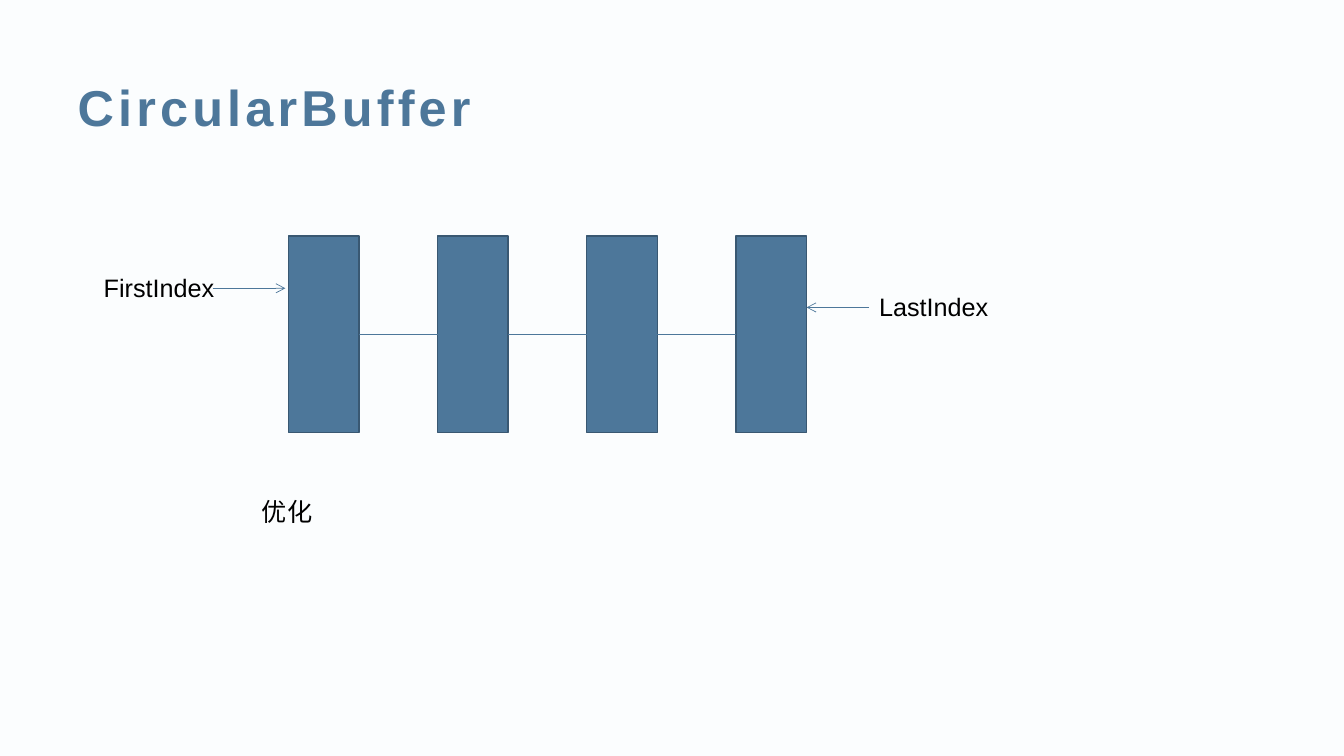
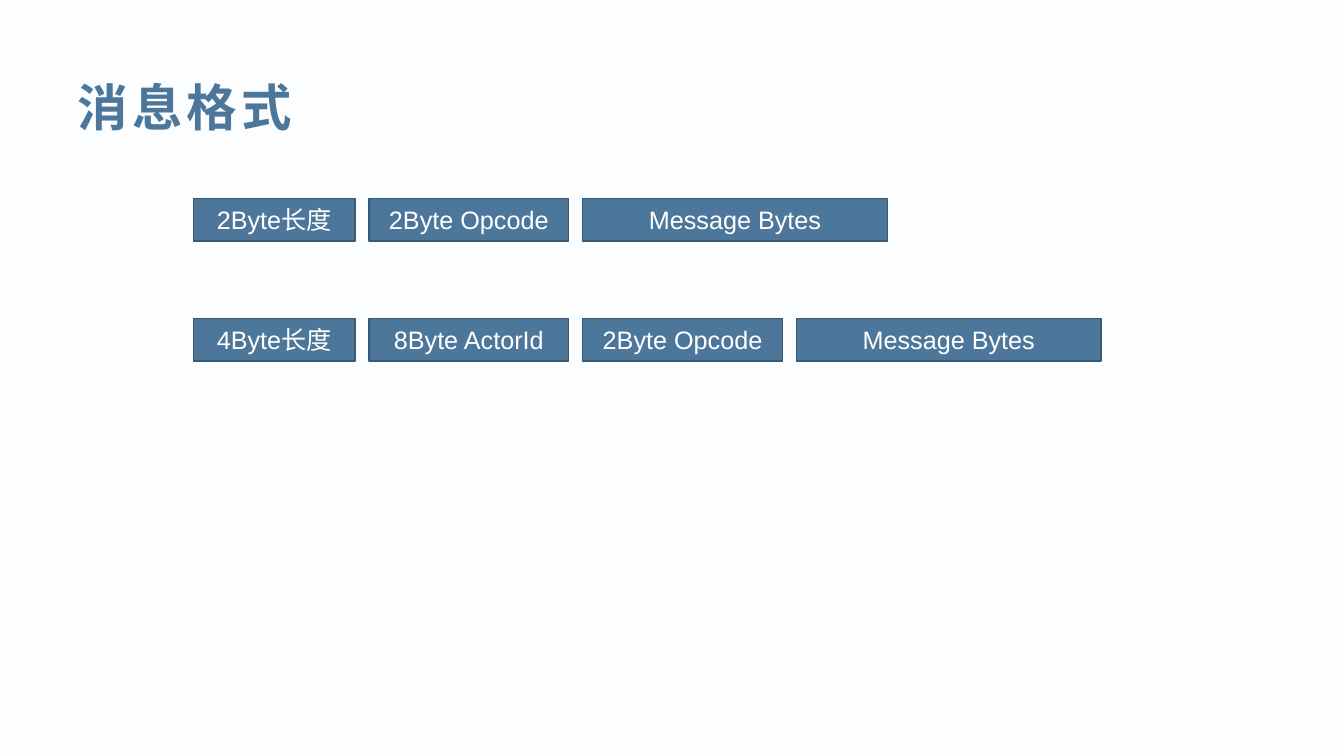
from lxml import etree
from pptx import Presentation
from pptx.dml.color import RGBColor
from pptx.enum.shapes import MSO_CONNECTOR, MSO_SHAPE
from pptx.enum.text import MSO_ANCHOR, MSO_AUTO_SIZE, PP_ALIGN
from pptx.oxml.ns import qn
from pptx.util import Inches, Pt

# Shared style
BLUE = RGBColor(0x4D, 0x77, 0x9A)
DARK_BLUE = RGBColor(0x39, 0x58, 0x72)
BACKGROUND = RGBColor(0xFB, 0xFD, 0xFE)
BLACK = RGBColor(0, 0, 0)
WHITE = RGBColor(0xFF, 0xFF, 0xFF)
FONT = "Arial"

RECTANGLE = MSO_SHAPE.RECTANGLE
STRAIGHT = MSO_CONNECTOR.STRAIGHT
LEFT, CENTER = PP_ALIGN.LEFT, PP_ALIGN.CENTER
TOP, MIDDLE = MSO_ANCHOR.TOP, MSO_ANCHOR.MIDDLE
NO_FIT, GROW = MSO_AUTO_SIZE.NONE, MSO_AUTO_SIZE.SHAPE_TO_FIT_TEXT
LEFT_SIDE, RIGHT_SIDE = 1, 3
TITLE_ONLY = 5

# Buffer nodes
NODE_COUNT, NODE_LEFT, NODE_PITCH = 4, 2.86, 1.48
NODE_TOP, NODE_WIDTH, NODE_HEIGHT = 2.34, 0.7, 1.95

# Message fields: text and width
FIELD_LEFT, FIELD_HEIGHT, FIELD_GAP = 1.92, 0.42, 0.14
OPCODE = ("2Byte Opcode", 1.98)
PAYLOAD = ("Message Bytes", 3.02)
MESSAGES = [
    (1.97, [("2Byte长度", 1.6), OPCODE, PAYLOAD]),
    (3.16, [("4Byte长度", 1.6), ("8Byte ActorId", 1.98), OPCODE, PAYLOAD]),
]


def write(frame, text, size=18, color=BLACK, bold=False, align=LEFT,
          anchor=TOP, spacing=0, wrap=True, fit=NO_FIT):
    frame.word_wrap = wrap
    frame.auto_size = fit
    frame.vertical_anchor = anchor
    paragraph = frame.paragraphs[0]
    paragraph.alignment = align
    run = paragraph.add_run()
    run.text = text
    font = run.font
    font.name, font.size, font.bold = FONT, Pt(size), bold
    font.color.rgb = color
    if spacing:
        run._r.get_or_add_rPr().set("spc", str(spacing * 100))


def set_up_template(prs):
    prs.slide_width, prs.slide_height = Inches(13.33), Inches(7.5)
    fill = prs.slide_master.background.fill
    fill.solid()
    fill.fore_color.rgb = BACKGROUND
    layout = prs.slide_layouts[TITLE_ONLY]
    title = layout.placeholders[0]
    title.left, title.top = Inches(0.67), Inches(0.67)
    title.width, title.height = Inches(12.28), Inches(0.77)
    return layout


def add_titled_slide(prs, layout, text):
    slide = prs.slides.add_slide(layout)
    write(slide.shapes.title.text_frame, text, size=36, color=BLUE,
          bold=True, anchor=MIDDLE, spacing=3)
    return slide


def add_block(slide, left, top, width, height):
    block = slide.shapes.add_shape(
        RECTANGLE, Inches(left), Inches(top), Inches(width), Inches(height))
    block.shadow.inherit = False
    block.fill.solid()
    block.fill.fore_color.rgb = BLUE
    block.line.color.rgb = DARK_BLUE
    block.line.width = Pt(1)
    return block


def add_label(slide, text, left, top, width, wrap=True):
    label = slide.shapes.add_textbox(
        Inches(left), Inches(top), Inches(width), Inches(0.4))
    write(label.text_frame, text, wrap=wrap, fit=GROW)


def add_line(slide, start=(0, 0), end=(0, 0), arrow=False):
    line = slide.shapes.add_connector(
        STRAIGHT, *(Inches(value) for value in (*start, *end)))
    line.line.color.rgb = BLUE
    line.line.width = Pt(0.5)
    if arrow:
        etree.SubElement(line.line._get_or_add_ln(), qn("a:tailEnd"), type="arrow")
    etree.SubElement(line._element.spPr, qn("a:effectLst"))
    return line


def link(slide, source, target):
    line = add_line(slide)
    line.begin_connect(source, RIGHT_SIDE)
    line.end_connect(target, LEFT_SIDE)


def build_buffer_slide(prs, layout):
    slide = add_titled_slide(prs, layout, "CircularBuffer")

    # Chain of nodes
    nodes = [add_block(slide, NODE_LEFT + i * NODE_PITCH, NODE_TOP,
                       NODE_WIDTH, NODE_HEIGHT) for i in range(NODE_COUNT)]
    for source, target in zip(nodes, nodes[1:]):
        link(slide, source, target)

    # Index pointers
    add_line(slide, (2.11, 2.86), (2.83, 2.86), arrow=True)
    add_label(slide, "FirstIndex", 0.93, 2.65, 1.35)
    add_line(slide, (8.62, 3.05), (8, 3.05), arrow=True)
    add_label(slide, "LastIndex", 8.62, 2.84, 1.35)

    add_label(slide, "优化", 2.5, 4.87, 0.7, wrap=False)


def build_message_slide(prs, layout):
    slide = add_titled_slide(prs, layout, "消息格式")
    for top, fields in MESSAGES:
        left = FIELD_LEFT
        for text, width in fields:
            field = add_block(slide, left, top, width, FIELD_HEIGHT)
            write(field.text_frame, text, color=WHITE, align=CENTER, anchor=MIDDLE)
            left += width + FIELD_GAP


def main():
    prs = Presentation()
    layout = set_up_template(prs)
    build_buffer_slide(prs, layout)
    build_message_slide(prs, layout)
    prs.save("out.pptx")


if __name__ == "__main__":
    main()
